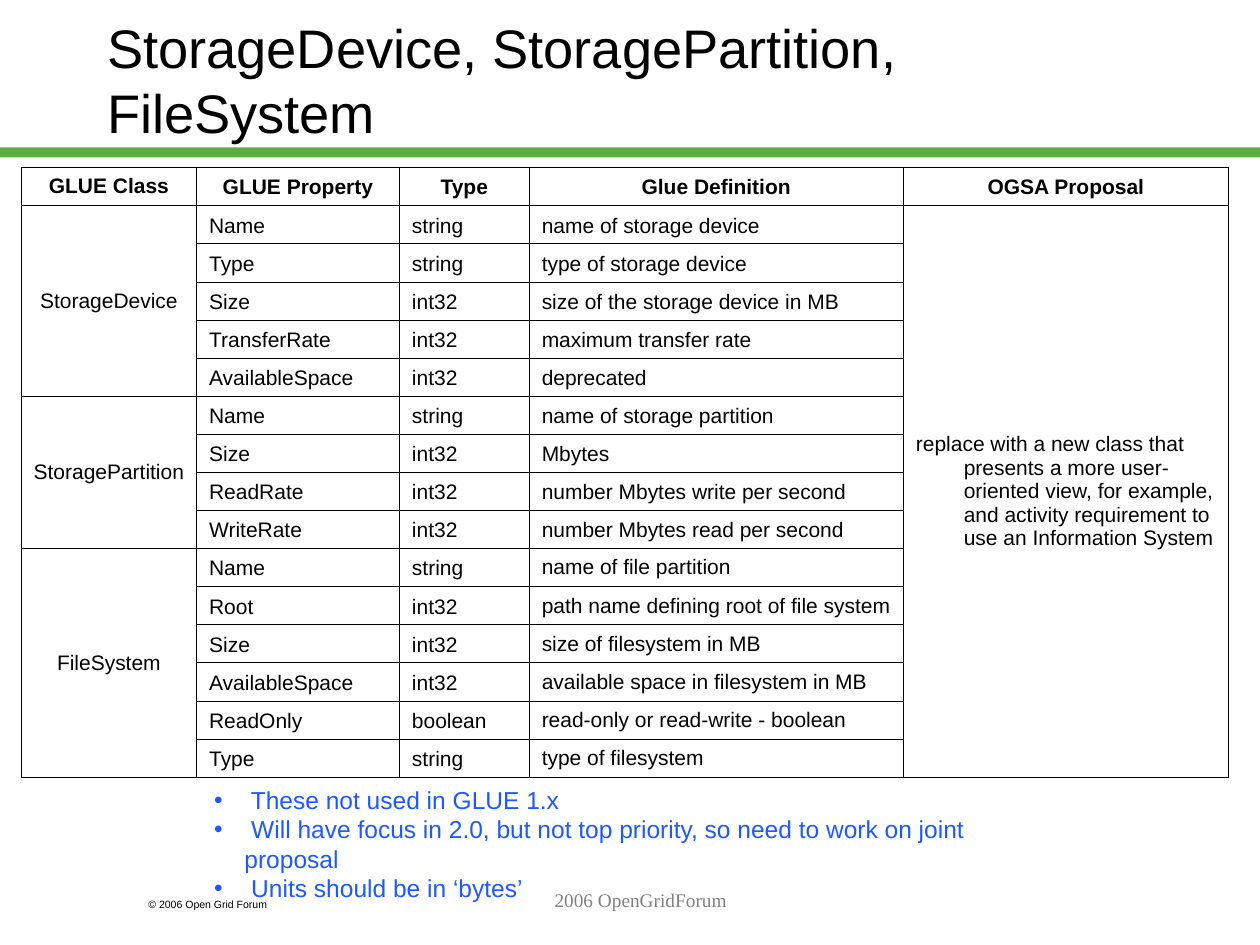
from pptx import Presentation
from pptx.dml.color import RGBColor
from pptx.enum.shapes import MSO_SHAPE
from pptx.enum.text import MSO_ANCHOR, MSO_AUTO_SIZE, PP_ALIGN
from pptx.oxml import parse_xml
from pptx.oxml.ns import nsdecls
from pptx.util import Inches, Pt

LEFT, CENTER = PP_ALIGN.LEFT, PP_ALIGN.CENTER
TOP, MIDDLE, BOTTOM = MSO_ANCHOR.TOP, MSO_ANCHOR.MIDDLE, MSO_ANCHOR.BOTTOM
FIXED = MSO_AUTO_SIZE.NONE
RECTANGLE = MSO_SHAPE.RECTANGLE
BLACK, GREEN, BLUE, GRAY = "000000", "5DAD41", "1E58FF", "808080"


def color(value):
    return RGBColor.from_string(value)


def format_text(frame, size, ink, align=LEFT, anchor=TOP, bold=False, face="Arial"):
    frame.word_wrap = True
    frame.vertical_anchor = anchor
    for para in frame.paragraphs:
        para.alignment = align
        para.space_before = Pt(0)
        for span in para.runs:
            span.font.name = face
            span.font.size = Pt(size)
            span.font.bold = bold
            span.font.color.rgb = color(ink)


deck = Presentation()
deck.slide_width, deck.slide_height = Inches(10), Inches(7.5)
page = deck.slides.add_slide(deck.slide_layouts[1])
shapes = page.shapes

bar = shapes.add_shape(RECTANGLE, 0, Inches(1.17), deck.slide_width, Inches(0.08))
bar.shadow.inherit = False
bar.fill.solid()
bar.fill.fore_color.rgb = color(GREEN)
bar.line.fill.background()

title = shapes.title
title.left, title.top = Inches(0.75), Inches(0.17)
title.width, title.height = Inches(8.5), Inches(0.92)
title.text_frame.text = "StorageDevice, StoragePartition,\vFileSystem"
title.text_frame.auto_size = FIXED
format_text(title.text_frame, 31, BLACK, anchor=MIDDLE)

headers = ["GLUE Class", "GLUE Property", "Type", "Glue Definition", "OGSA Proposal"]
classes = {
    "StorageDevice": [
        ("Name", "string", "name of storage device"),
        ("Type", "string", "type of storage device"),
        ("Size", "int32", "size of the storage device in MB"),
        ("TransferRate", "int32", "maximum transfer rate"),
        ("AvailableSpace", "int32", "deprecated"),
    ],
    "StoragePartition": [
        ("Name", "string", "name of storage partition"),
        ("Size", "int32", "Mbytes"),
        ("ReadRate", "int32", "number Mbytes write per second"),
        ("WriteRate", "int32", "number Mbytes read per second"),
    ],
    "FileSystem": [
        ("Name", "string", "name of file partition"),
        ("Root", "int32", "path name defining root of file system"),
        ("Size", "int32", "size of filesystem in MB"),
        ("AvailableSpace", "int32", "available space in filesystem in MB"),
        ("ReadOnly", "boolean", "read-only or read-write - boolean"),
        ("Type", "string", "type of filesystem"),
    ],
}
proposal = (
    "replace with a new class that presents a more user-oriented view, "
    "for example, and activity requirement to use an Information System"
)
row_count = 1 + sum(len(properties) for properties in classes.values())
table = shapes.add_table(
    row_count, len(headers), Inches(0.17), Inches(1.33), Inches(9.58), Inches(4.84)
).table
table.first_row = table.horz_banding = False
for column, width in zip(table.columns, [1.39, 1.61, 1.03, 2.97, 2.58]):
    column.width = Inches(width)

for column, header in enumerate(headers):
    table.cell(0, column).text = header
row = 1
for class_name, properties in classes.items():
    table.cell(row, 0).text = class_name
    table.cell(row, 0).merge(table.cell(row + len(properties) - 1, 0))
    for values in properties:
        for column, value in enumerate(values, 1):
            table.cell(row, column).text = value
        row += 1
table.cell(1, 4).text = proposal
table.cell(1, 4).merge(table.cell(row_count - 1, 4))

file_system_row = row_count - len(classes["FileSystem"])
for row in range(row_count):
    for column in range(len(headers)):
        cell = table.cell(row, column)
        middle = column == 0 or row and column == 4 or row >= file_system_row and column == 3
        anchor = MIDDLE if middle else BOTTOM
        align = CENTER if row == 0 or column == 0 else LEFT
        format_text(cell.text_frame, 12, BLACK, align, bold=row == 0)
        cell.vertical_anchor = anchor
        cell.margin_left = cell.margin_right = Inches(0.08 if column == 0 else 0.1)
        cell.margin_top = cell.margin_bottom = Inches(0.05)
        indents = cell.text_frame.paragraphs[0]._p.get_or_add_pPr()
        indents.set("marL", str(Inches(0.38)))
        indents.set("indent", str(-Inches(0.38)))
        borders = cell._tc.get_or_add_tcPr()
        for side in ("lnL", "lnR", "lnT", "lnB"):
            borders.append(parse_xml(
                f'<a:{side} {nsdecls("a")} w="{Pt(0.45)}"><a:solidFill>'
                f'<a:srgbClr val="{BLACK}"/></a:solidFill></a:{side}>'
            ))
        cell.fill.background()

remarks = shapes.placeholders[1]
remarks.left, remarks.top = Inches(1.6), Inches(6.18)
remarks.width, remarks.height = Inches(6.8), Inches(0.8)
remarks.text_frame.text = "\n".join([
    " These not used in GLUE 1.x",
    " Will have focus in 2.0, but not top priority, so need to work on joint proposal",
    " Units should be in ‘bytes’",
])
remarks.text_frame.auto_size = FIXED
format_text(remarks.text_frame, 14, BLUE)
for para in remarks.text_frame.paragraphs:
    bullet = para._p.get_or_add_pPr()
    bullet.set("marL", str(Inches(0.24)))
    bullet.set("indent", str(-Inches(0.24)))
    bullet.append(parse_xml(
        f'<a:buClr {nsdecls("a")}><a:srgbClr val="{BLUE}"/></a:buClr>'
    ))
    bullet.append(parse_xml(f'<a:buFont {nsdecls("a")} typeface="Arial"/>'))
    bullet.append(parse_xml(f'<a:buChar {nsdecls("a")} char="•"/>'))

copyright_box = shapes.add_textbox(Inches(1.08), Inches(7.08), Inches(1.5), Inches(0.2))
copyright_box.text_frame.text = "© 2006 Open Grid Forum"
format_text(copyright_box.text_frame, 6, BLACK)

footer = shapes.add_textbox(Inches(2.17), Inches(7), Inches(5.83), Inches(0.5))
footer.text_frame.text = "2006 OpenGridForum"
format_text(footer.text_frame, 11, GRAY, CENTER, face="Times New Roman")

deck.save("out.pptx")
